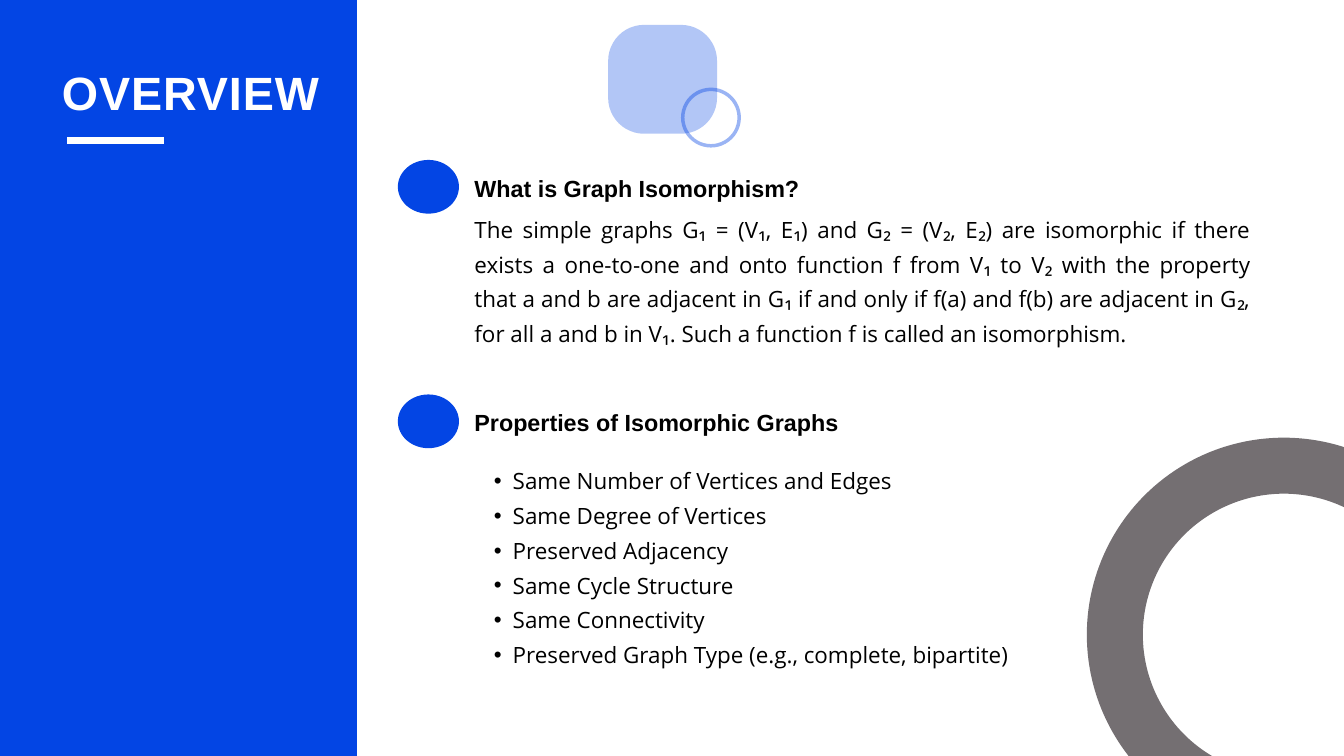
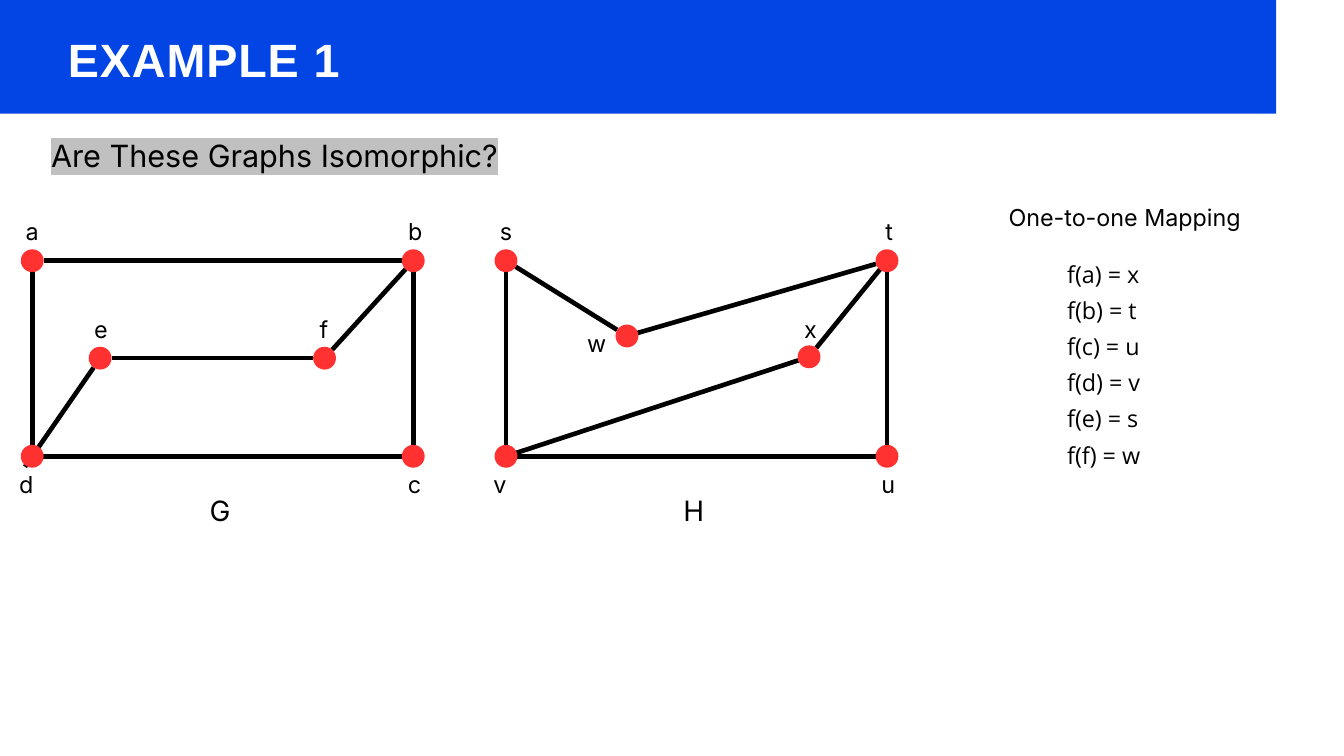
from dataclasses import dataclass
from math import hypot
from typing import NamedTuple

from lxml.etree import SubElement
from pptx import Presentation
from pptx.dml.color import RGBColor
from pptx.enum.shapes import MSO_CONNECTOR, MSO_SHAPE
from pptx.enum.text import MSO_ANCHOR, MSO_AUTO_SIZE, PP_ALIGN
from pptx.oxml.ns import qn
from pptx.util import Emu, Inches, Pt

# Shared grid: 20 columns by 11.25 rows of square cells
COLUMNS, ROWS = 20, 11.25
CELL = Inches(1)

BLUE, RED, GREY = "0345E4", "FF3131", "746F72"
BLACK, WHITE, SILVER = "000000", "FFFFFF", "C0C0C0"
HEADING_FONT, BODY_FONT, GRAPH_FONT = "Arial", "Open Sans", "Inter"


class Box(NamedTuple):
    """Left, top, width and height in grid cells."""
    left: float
    top: float
    width: float
    height: float


class Vertex(NamedTuple):
    """Place inside its graph, and the label's offset from the dot."""
    across: float
    down: float
    label_across: float
    label_down: float


DOT_RADIUS = 0.17


class Edge(NamedTuple):
    """Two vertices and the gap left at either end."""
    start: str
    end: str
    start_gap: float = DOT_RADIUS
    end_gap: float = DOT_RADIUS


@dataclass
class Graph:
    name: str
    left: float
    vertices: dict[str, Vertex]
    edges: list[Edge]


@dataclass
class Section:
    top: float
    heading: str
    body: list[str]
    body_box: Box
    bullet: bool = False


def cells(count: float) -> Emu:
    return Emu(round(count * CELL))


def colour(code: str) -> RGBColor:
    return RGBColor.from_string(code)


# Text
def write_text(frame, text: str | list[str], *, size: float, spacing: float, font: str = BODY_FONT,
               ink: str = BLACK, bold: bool = False, align=PP_ALIGN.LEFT, tracking: float = 0,
               highlight: str = "", bullet: bool = False) -> None:
    frame.word_wrap = True
    frame.auto_size = MSO_AUTO_SIZE.NONE
    frame.vertical_anchor = MSO_ANCHOR.TOP
    frame.margin_left = frame.margin_top = frame.margin_right = frame.margin_bottom = 0
    lines = [text] if isinstance(text, str) else text
    for index, line in enumerate(lines):
        paragraph = frame.add_paragraph() if index else frame.paragraphs[0]
        paragraph.alignment = align
        paragraph.line_spacing = Pt(spacing)
        if bullet:
            add_bullet(paragraph)
        run = paragraph.add_run()
        run.text = line
        run.font.size = Pt(size)
        run.font.bold = bold
        run.font.color.rgb = colour(ink)
        run.font.name = font
        properties = run.font._element
        if tracking:
            properties.set("spc", str(round(tracking * 100)))
        if highlight:
            mark = SubElement(properties, qn("a:highlight"))
            SubElement(mark, qn("a:srgbClr"), val=highlight)
            properties.find(qn("a:latin")).addprevious(mark)


def add_bullet(paragraph) -> None:
    paragraph.level = 1
    properties = paragraph._p.get_or_add_pPr()
    properties.set("marL", str(Inches(0.57)))
    properties.set("indent", str(Inches(-0.28)))
    SubElement(properties, qn("a:buFont"), typeface="Arial")
    SubElement(properties, qn("a:buChar"), char="•")


def add_text(slide, box: Box, text: str | list[str], **text_format) -> None:
    text_box = slide.shapes.add_textbox(*map(cells, box))
    write_text(text_box.text_frame, text, **text_format)


# Shapes
def add_shape(slide, kind, box: Box, *, fill: str = "", line: str = "", line_width: float = 0,
              opacity: int = 100):
    shape = slide.shapes.add_shape(kind, *map(cells, box))
    shape.shadow.inherit = False
    if fill:
        shape.fill.solid()
        shape.fill.fore_color.rgb = colour(fill)
    else:
        shape.fill.background()
    if line:
        shape.line.color.rgb = colour(line)
        shape.line.width = Pt(line_width)
    else:
        shape.line.fill.background()
    if opacity < 100:
        for tint in shape._element.spPr.iter(qn("a:srgbClr")):
            SubElement(tint, qn("a:alpha"), val=str(opacity * 1000))
    return shape


def add_line(slide, start: tuple[float, float], end: tuple[float, float], line: str,
             width: float) -> None:
    connector = slide.shapes.add_connector(MSO_CONNECTOR.STRAIGHT, *map(cells, start + end))
    connector.line.color.rgb = colour(line)
    connector.line.width = Pt(width)
    SubElement(connector._element.spPr, qn("a:effectLst"))


def add_titled_slide(presentation, title: str, band: Box, title_box: Box):
    slide = presentation.slides.add_slide(presentation.slide_layouts[5])
    add_shape(slide, MSO_SHAPE.RECTANGLE, band, fill=BLUE)
    placeholder = slide.shapes.title
    placeholder.left, placeholder.top, placeholder.width, placeholder.height = map(cells, title_box)
    write_text(placeholder.text_frame, title, size=50, spacing=70, font=HEADING_FONT, ink=WHITE,
               bold=True, tracking=1)
    slide.shapes._spTree.append(placeholder._element)  # bring in front of the band
    return slide


# Overview slide
TEXT_LEFT, TEXT_WIDTH = 7.06, 11.55

SECTIONS = [
    Section(2.38, "What is Graph Isomorphism?", [
        "The simple graphs G₁ = (V₁, E₁) and G₂ = (V₂, E₂) are isomorphic if there exists a "
        "one-to-one and onto function f from V₁ to V₂ with the property that a and b are adjacent "
        "in G₁ if and only if f(a) and f(b) are adjacent in G₂, for all a and b in V₁. Such a "
        "function f is called an isomorphism.",
    ], Box(TEXT_LEFT, 3.1, TEXT_WIDTH, 2.01)),
    Section(5.87, "Properties of Isomorphic Graphs", [
        "Same Number of Vertices and Edges",
        "Same Degree of Vertices",
        "Preserved Adjacency",
        "Same Cycle Structure",
        "Same Connectivity",
        "Preserved Graph Type (e.g., complete, bipartite)",
    ], Box(TEXT_LEFT, 6.84, TEXT_WIDTH, 3.54), bullet=True),
]


def add_section(slide, section: Section) -> None:
    add_shape(slide, MSO_SHAPE.OVAL, Box(5.92, section.top, 0.91, 0.8), fill=BLUE)
    add_text(slide, Box(TEXT_LEFT, section.top + 0.14, 6.81, 0.46), section.heading, size=25,
             spacing=35, font=HEADING_FONT, bold=True)
    add_text(slide, section.body_box, section.body, size=24, spacing=37.2,
             align=PP_ALIGN.JUSTIFY, bullet=section.bullet)


def build_overview(presentation) -> None:
    slide = add_titled_slide(presentation, "OVERVIEW", Box(0, 0, 5.31, ROWS),
                             Box(0.92, 0.81, 5, 0.93))
    add_line(slide, (1, 2.09), (2.44, 2.09), WHITE, 7.5)
    # Decoration
    add_shape(slide, MSO_SHAPE.OVAL, Box(16.59, 6.93, 5.03, 5.03), line=GREY, line_width=60)
    tile = add_shape(slide, MSO_SHAPE.ROUNDED_RECTANGLE, Box(9.05, 0.37, 1.62, 1.62), fill=BLUE,
                     opacity=30)
    tile.adjustments[0] = 0.33
    add_shape(slide, MSO_SHAPE.OVAL, Box(10.16, 1.33, 0.84, 0.84), line=BLUE, line_width=3.75,
              opacity=40)
    for section in SECTIONS:
        add_section(slide, section)


# Example slide: both graphs share a frame of four corners
GRAPH_TOP, GRAPH_WIDTH, GRAPH_HEIGHT = 3.88, 5.67, 2.91
ABOVE, BELOW = -0.49, 0.36


def corners(names: str) -> dict[str, Vertex]:
    """Corner vertices, clockwise from the top left."""
    places = [
        Vertex(0, 0, 0, ABOVE),
        Vertex(GRAPH_WIDTH, 0, 0.03, ABOVE),
        Vertex(GRAPH_WIDTH, GRAPH_HEIGHT, 0.02, BELOW),
        Vertex(0, GRAPH_HEIGHT, -0.09, BELOW),
    ]
    return dict(zip(names, places))


GRAPHS = [
    Graph("G", 0.48,
          corners("abcd") | {"e": Vertex(1.01, 1.45, 0.01, ABOVE),
                             "f": Vertex(4.35, 1.45, -0.01, ABOVE)},
          [Edge("e", "d", end_gap=-0.19), Edge("e", "f"), Edge("a", "b", end_gap=0),
           Edge("c", "d", end_gap=0), Edge("d", "a"), Edge("b", "c", end_gap=0), Edge("b", "f")]),
    Graph("H", 7.53,
          corners("stuv") | {"w": Vertex(1.8, 1.12, -0.45, 0.06),
                             "x": Vertex(4.51, 1.43, 0.02, -0.46)},
          [Edge("x", "t", end_gap=0), Edge("v", "x", start_gap=0), Edge("w", "t", start_gap=0),
           Edge("u", "v"), Edge("v", "s"), Edge("t", "u"), Edge("s", "w")]),
]


def centred_box(x: float, y: float, width: float, height: float) -> Box:
    return Box(x - width / 2, y - height / 2, width, height)


def add_graph(slide, graph: Graph) -> None:
    centres = {name: (graph.left + vertex.across, GRAPH_TOP + vertex.down)
               for name, vertex in graph.vertices.items()}
    for edge in graph.edges:
        (x1, y1), (x2, y2) = centres[edge.start], centres[edge.end]
        length = hypot(x2 - x1, y2 - y1)
        step_x, step_y = (x2 - x1) / length, (y2 - y1) / length
        add_line(slide, (x1 + step_x * edge.start_gap, y1 + step_y * edge.start_gap),
                 (x2 - step_x * edge.end_gap, y2 - step_y * edge.end_gap), BLACK, 5)
    for name, vertex in graph.vertices.items():
        x, y = centres[name]
        add_shape(slide, MSO_SHAPE.OVAL, centred_box(x, y, 2 * DOT_RADIUS, 2 * DOT_RADIUS),
                  fill=RED)
        label = centred_box(x + vertex.label_across, y + vertex.label_down, 0.31, 0.45)
        add_text(slide, label, name, size=25, spacing=35, font=GRAPH_FONT, align=PP_ALIGN.CENTER)
    caption = centred_box(graph.left + GRAPH_WIDTH / 2 - 0.04, 7.54, 0.32, 0.55)
    add_text(slide, caption, graph.name, size=30, spacing=42, font=GRAPH_FONT,
             align=PP_ALIGN.CENTER)


def build_example(presentation) -> None:
    slide = add_titled_slide(presentation, "EXAMPLE 1", Box(0, 0, 18.99, 1.69),
                             Box(1.01, 0.32, 11.78, 0.93))
    add_text(slide, Box(0.65, 1.95, 6.87, 0.61), "Are These Graphs Isomorphic?", size=32.8,
             spacing=46, font=GRAPH_FONT, align=PP_ALIGN.CENTER, highlight=SILVER)
    for graph in GRAPHS:
        add_graph(slide, graph)
    # Mapping from G to H
    add_text(slide, Box(15, 2.96, 3.47, 0.46), "One-to-one Mapping", size=25, spacing=35,
             font=GRAPH_FONT, align=PP_ALIGN.CENTER)
    mapping = [f"f({source}) = {target}" for source, target in zip("abcdef", "xtuvsw")]
    add_text(slide, Box(15.88, 3.75, 1.71, 3.69), mapping, size=25, spacing=38.7,
             align=PP_ALIGN.JUSTIFY)


def main() -> None:
    presentation = Presentation()
    presentation.slide_width, presentation.slide_height = cells(COLUMNS), cells(ROWS)
    build_overview(presentation)
    build_example(presentation)
    presentation.save("out.pptx")


if __name__ == "__main__":
    main()
